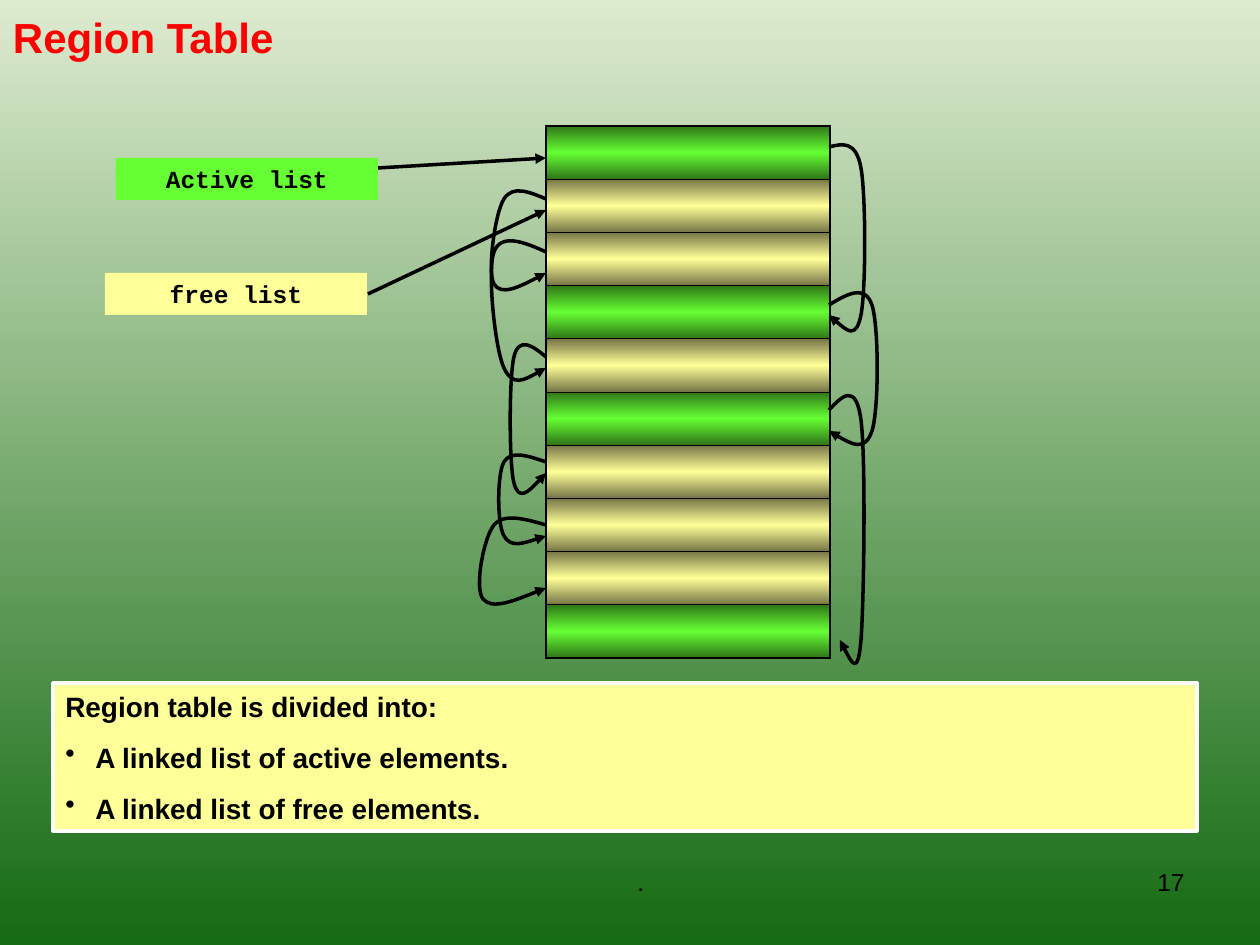
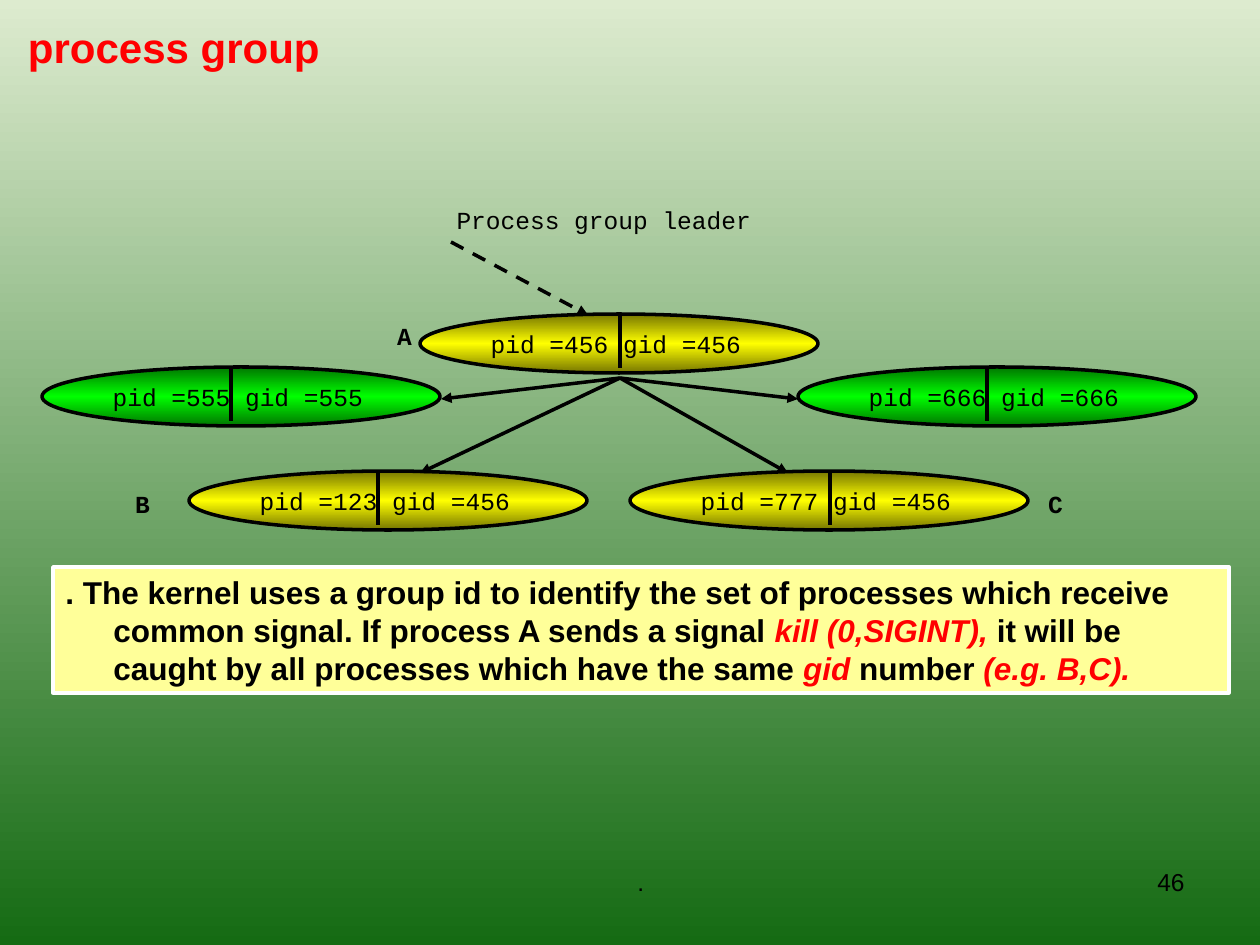
"""Build two slides: a region table with its linked lists, and a process group."""
from lxml.etree import SubElement
from pptx import Presentation
from pptx.dml.color import RGBColor
from pptx.enum.dml import MSO_LINE
from pptx.enum.shapes import MSO_CONNECTOR, MSO_SHAPE
from pptx.enum.text import MSO_ANCHOR as ANCHOR, PP_ALIGN as ALIGN
from pptx.oxml.ns import qn
from pptx.util import Pt

PX = 914400 / 126
COLOURS = {
    "black": "000000", "white": "FFFFFF", "red": "FF0000",
    "sky": "DDEBCF", "forest": "156B13",
    "active": "66FF33", "active_dark": "2F7618",
    "free": "FFFF99", "free_dark": "767647",
    "member": "FFFF00", "member_dark": "767600",
    "outsider": "00FF00", "outsider_dark": "007600",
}
RGB = {name: RGBColor.from_string(value) for name, value in COLOURS.items()}
SANS, MONO = "Arial", "Courier New"


def set_gradient(fill, element, names):
    """Fill from top to bottom with evenly spaced colours."""
    fill.gradient()
    fill.gradient_angle = 270
    stops = next(element.iter(qn("a:gsLst")))
    for stop in list(stops):
        stops.remove(stop)
    for index, name in enumerate(names):
        stop = SubElement(stops, qn("a:gs"), pos=str(100000 * index // (len(names) - 1)))
        SubElement(stop, qn("a:srgbClr"), val=COLOURS[name])


def add_box(page, rect, text, font=MONO, size=14, bold=False, align=ALIGN.CENTER,
            fill=None, outline=None, shape=MSO_SHAPE.RECTANGLE):
    """Add a text box, or a shape when a fill is given, with one paragraph a line."""
    place = [round(value * PX) for value in rect]
    if fill:
        box = page.shapes.add_shape(shape, *place)
        box.shadow.inherit = False
        box.fill.solid()
        box.fill.fore_color.rgb = RGB[fill]
        if outline:
            box.line.color.rgb = RGB[outline]
            box.line.width = Pt(2)
        else:
            box.line.fill.background()
    else:
        box = page.shapes.add_textbox(*place)
    frame = box.text_frame
    frame.word_wrap = True
    frame.vertical_anchor = ANCHOR.TOP
    frame.text = text
    for index, para in enumerate(frame.paragraphs):
        para.alignment = align
        if index:
            para.space_before = Pt(10)
            props = para._p.get_or_add_pPr()
            props.set("marL", str(round(30 * PX)))
            props.set("indent", str(round(-30 * PX)))
            SubElement(props, qn("a:buChar"), char="•")
        para.font.name, para.font.size, para.font.bold = font, Pt(size), bold
        para.font.color.rgb = RGB["black"]
    return box


deck = Presentation()
deck.slide_width, deck.slide_height = round(1260 * PX), round(945 * PX)
master = deck.slide_master
set_gradient(master.background.fill, master.element, ["sky", "forest"])

pages = []
for title_text, height, left_inset, top_inset, number in [
    ("Region Table", 73, 13, 6, "17"),
    ("process group", 84, 28, 15, "46"),
]:
    page = deck.slides.add_slide(deck.slide_layouts[5])
    title = page.shapes.title
    title.left, title.top = 0, 0
    title.width, title.height = round(1071 * PX), round(height * PX)
    frame = title.text_frame
    frame.text = title_text
    frame.vertical_anchor = ANCHOR.MIDDLE
    frame.margin_left, frame.margin_top = round(left_inset * PX), round(top_inset * PX)
    para = frame.paragraphs[0]
    para.alignment = ALIGN.LEFT
    para.font.name, para.font.size, para.font.bold = SANS, Pt(24), True
    para.font.color.rgb = RGB["red"]
    footer = add_box(page, (431, 861, 399, 65), ".", SANS)
    footer.text_frame.margin_left = round(33 * PX)
    add_box(page, (903, 861, 294, 65), number, SANS, align=ALIGN.RIGHT)
    pages.append(page)
region_page, group_page = pages

regions = ["active", "free", "free", "active", "free",
           "active", "free", "free", "free", "active"]
holder = region_page.shapes.add_table(
    len(regions), 1, *[round(value * PX) for value in (546, 126, 284, 532)])
table = holder.table
table.first_row = table.horz_banding = False
for index, region in enumerate(regions):
    table.rows[index].height = round(532 * PX / len(regions))
    cell = table.cell(index, 0)
    props = cell._tc.get_or_add_tcPr()
    top = 1.08 if index == 0 else 0.45
    bottom = 1.08 if index == len(regions) - 1 else 0.45
    for side, width in [("L", 1.08), ("R", 1.08), ("T", top), ("B", bottom)]:
        border = SubElement(props, qn(f"a:ln{side}"), w=str(Pt(width)))
        paint = SubElement(border, qn("a:solidFill"))
        SubElement(paint, qn("a:srgbClr"), val=COLOURS["black"])
    set_gradient(cell.fill, cell._tc, [f"{region}_dark", region, f"{region}_dark"])

arrows, dividers = [], []
for knots in [
    [(829, 147), (861, 168), (861, 315), (829, 315)],
    [(829, 305), (872, 305), (872, 431), (829, 431)],
    [(829, 410), (861, 420), (861, 640), (840, 640)],
    [(546, 199), (504, 199), (494, 284), (546, 273)],
    [(546, 252), (494, 252), (504, 368), (546, 368)],
    [(546, 357), (514, 357), (514, 483), (546, 473)],
    [(546, 462), (504, 462), (504, 536), (546, 536)],
    [(546, 525), (494, 525), (483, 599), (546, 588)],
]:
    columns = []
    for a, b, c, d in zip(*knots):
        b_bend, c_bend = (c - a) / 6, (d - b) / 6
        columns.append([(a + b - b_bend) / 2, b - b_bend, b, b + b_bend, c - c_bend, c,
                        c + c_bend, (c + c_bend + d) / 2, d])
    builder = region_page.shapes.build_freeform(*knots[0], scale=PX)
    builder.add_line_segments(list(zip(*columns)), close=False)
    link = builder.convert_to_shape()
    link.fill.background()
    outline = next(link.element.iter(qn("a:path")))
    segments = list(outline)[1:]
    for start in range(0, len(segments), 3):
        curve = SubElement(outline, qn("a:cubicBezTo"))
        for segment in segments[start:start + 3]:
            curve.append(segment[0])
            outline.remove(segment)
    arrows.append(link)

add_box(region_page, (116, 158, 262, 42), "Active list", bold=True, fill="active")
add_box(region_page, (105, 273, 262, 42), "free list", bold=True, fill="free")
add_box(region_page, (53, 683, 1144, 148),
        "Region table is divided into:\nA linked list of active elements.\n"
        "A linked list of free elements.",
        SANS, 16, True, ALIGN.LEFT, "free", "white")

add_box(group_page, (410, 199, 388, 43), "Process group leader")
for page, *ends in [
    (group_page, 451, 242, 588, 315),
    (region_page, 378, 168, 546, 158),
    (region_page, 368, 294, 546, 210),
]:
    arrows.append(page.shapes.add_connector(
        MSO_CONNECTOR.STRAIGHT, *[round(value * PX) for value in ends]))
    if page is group_page:
        arrows[-1].line.dash_style = MSO_LINE.DASH

for left, top, split, pid, gid, kind in [
    (189, 471, 189, 123, 456, "member"),
    (420, 314, 200, 456, 456, "member"),
    (630, 471, 200, 777, 456, "member"),
    (42, 367, 189, 555, 555, "outsider"),
    (798, 367, 189, 666, 666, "outsider"),
]:
    process = add_box(group_page, (left, top, 398, 59), f"pid ={pid} gid ={gid}",
                      align=ALIGN.LEFT, fill=kind, outline="black", shape=MSO_SHAPE.OVAL)
    process.text_frame.vertical_anchor = ANCHOR.MIDDLE
    set_gradient(process.fill, process.element, [f"{kind}_dark", kind, f"{kind}_dark"])
    ends = (left + split, top + 1, left + split, top + 54)
    dividers.append(group_page.shapes.add_connector(
        MSO_CONNECTOR.STRAIGHT, *[round(value * PX) for value in ends]))

for target in [(420, 473), (788, 473), (441, 399), (798, 399)]:
    arrows.append(group_page.shapes.add_connector(
        MSO_CONNECTOR.STRAIGHT, *[round(value * PX) for value in (620, 378, *target)]))

for letter, left, top in [("A", 378, 315), ("B", 116, 483), ("C", 1029, 483)]:
    add_box(group_page, (left, top, 53, 43), letter, bold=True)

for stroke in arrows + dividers:
    stroke.line.color.rgb = RGB["black"]
    stroke.line.width = Pt(2)
    props = stroke.element.spPr
    if stroke in arrows:
        SubElement(props.find(qn("a:ln")), qn("a:tailEnd"), type="triangle")
    SubElement(props, qn("a:effectLst"))

note = add_box(group_page, (53, 567, 1176, 126), "", SANS, 18, True, ALIGN.LEFT, "free", "white")
para = note.text_frame.paragraphs[0]
props = para._p.get_or_add_pPr()
props.set("marL", str(round(48 * PX)))
props.set("indent", str(round(-48 * PX)))
for text, marked in [
    (". The kernel uses a group id to identify the set of processes which receive "
     "common signal. If process A sends a signal ", False),
    ("kill (0,SIGINT), ", True),
    ("it will be caught by all processes which have the same", False),
    (" gid ", True),
    ("number ", False),
    ("(e.g. B,C).", True),
]:
    span = para.add_run()
    span.text = text
    if marked:
        span.font.italic = True
        span.font.color.rgb = RGB["red"]

deck.save("out.pptx")
